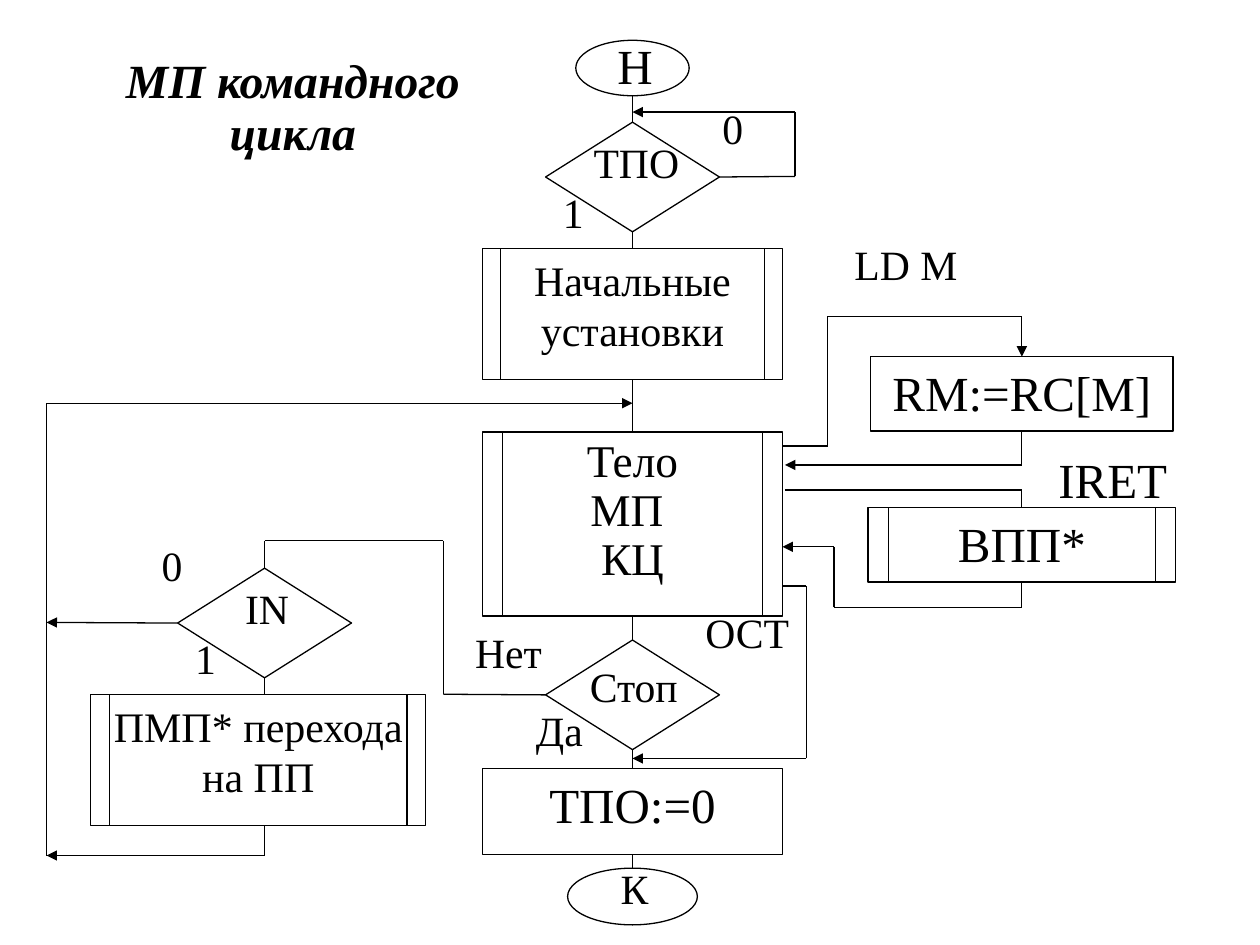
from itertools import pairwise

from lxml.etree import SubElement
from pptx import Presentation
from pptx.dml.color import RGBColor
from pptx.enum.shapes import MSO_CONNECTOR, MSO_SHAPE
from pptx.enum.text import MSO_ANCHOR, PP_ALIGN
from pptx.oxml.ns import qn
from pptx.util import Inches, Pt

INK = "000000"
FONT = "Times New Roman"
TOP, LEFT, BOTTOM, RIGHT = range(4)
SPINE, BRANCH, CALLS, RETURN = 5.02, 2.1, 8.11, 0.37


def color(value):
    """Turn a hex string into a colour."""
    return RGBColor.from_string(value)


def write(frame, words, size, spacing=None, align=PP_ALIGN.CENTER):
    """Fill a text frame with evenly formatted paragraphs."""
    frame.word_wrap = True
    frame.vertical_anchor = MSO_ANCHOR.TOP
    frame.text = words
    for paragraph in frame.paragraphs:
        paragraph.alignment = align
        paragraph.line_spacing = spacing
        font = paragraph.font
        font.name, font.size = FONT, Pt(size)
        font.color.rgb = color(INK)


def add_label(page, words, left, top, width, height=0.5, size=23.8, spacing=0.9):
    """Add a centred text box and return its frame."""
    box = page.shapes.add_textbox(Inches(left), Inches(top), Inches(width), Inches(height))
    write(box.text_frame, words, size, spacing)
    return box.text_frame


def add_block(page, kind, center, top, width, height, words="", size=28, spacing=None):
    """Add an outlined flowchart block centred on a vertical axis."""
    block = page.shapes.add_shape(kind, Inches(center - width / 2), Inches(top),
                                  Inches(width), Inches(height))
    block.shadow.inherit = False
    block.fill.background()
    block.line.color.rgb = color(INK)
    block.line.width = Pt(0.75)
    if words:
        write(block.text_frame, words, size, spacing)
    return block


def add_line(page, begin, end):
    """Add one straight connector between two points in inches."""
    line = page.shapes.add_connector(MSO_CONNECTOR.STRAIGHT, *map(Inches, begin + end))
    line.line.color.rgb = color(INK)
    line.line.width = Pt(0.75)
    SubElement(line._element.spPr, qn("a:effectLst"))
    return line


def add_route(page, *points, start=None, finish=None, arrow=False):
    """Chain connectors through points, joining the ends to block sides."""
    lines = [add_line(page, begin, end) for begin, end in pairwise(points)]
    if start:
        lines[0].begin_connect(*start)
    if finish:
        lines[-1].end_connect(*finish)
    if arrow:
        SubElement(lines[-1].line._get_or_add_ln(), qn("a:tailEnd"), type="triangle")


def add_subroutine(page, center, top, width, height, words, size, inset, spacing=None):
    """Add a rectangle with a vertical bar near each side."""
    block = add_block(page, MSO_SHAPE.RECTANGLE, center, top, width, height, words, size, spacing)
    for x in (center - width / 2 + inset, center + width / 2 - inset):
        add_line(page, (x, top), (x, top + height))
    return block


def add_main_flow(page):
    """Draw the central column and its loops."""
    add_block(page, MSO_SHAPE.OVAL, SPINE, 0.32, 0.9, 0.44)
    ready = add_block(page, MSO_SHAPE.DIAMOND, SPINE, 0.97, 1.38, 0.87)
    setup = add_subroutine(page, SPINE, 1.97, 2.38, 1.04, "Начальные установки", 24, 0.14)
    body = add_subroutine(page, SPINE, 3.43, 2.38, 1.46, "Тело\nМП \vКЦ", 25.9, 0.16, 0.9)
    stop = add_block(page, MSO_SHAPE.DIAMOND, SPINE, 5.08, 1.38, 0.87)
    reset = add_block(page, MSO_SHAPE.RECTANGLE, SPINE, 6.1, 2.38, 0.68, "ТПО:=0")
    finish = add_block(page, MSO_SHAPE.OVAL, SPINE, 6.89, 1.03, 0.45)

    add_route(page, (SPINE, 0.76), (SPINE, 0.97), finish=(ready, TOP))
    for upper, lower in pairwise((ready, setup, body, stop, reset, finish)):
        add_route(page, (SPINE, 1), (SPINE, 2), start=(upper, BOTTOM), finish=(lower, TOP))
    add_route(page, (5.71, 1.4), (6.31, 1.4), (6.31, 0.89), (SPINE, 0.89),
              start=(ready, RIGHT), arrow=True)
    add_route(page, (6.21, 4.65), (6.4, 4.65), (6.4, 6.02), (SPINE, 6.02), arrow=True)
    return stop


def add_call_blocks(page):
    """Draw the two blocks called from the body."""
    load = add_block(page, MSO_SHAPE.RECTANGLE, CALLS, 2.83, 2.4, 0.59, "RM:=RC[M]")
    interrupt = add_subroutine(page, CALLS, 4.03, 2.44, 0.59, "ВПП*", 28, 0.16)
    add_route(page, (6.21, 3.54), (6.57, 3.54), (6.57, 2.51), (CALLS, 2.51), (CALLS, 2.83),
              finish=(load, TOP), arrow=True)
    add_route(page, (CALLS, 3.42), (CALLS, 3.69), (6.23, 3.69), start=(load, BOTTOM), arrow=True)
    add_route(page, (6.23, 3.89), (CALLS, 3.89), (CALLS, 4.03), finish=(interrupt, TOP))
    add_route(page, (CALLS, 4.62), (CALLS, 4.82), (6.62, 4.82), (6.62, 4.34), (6.21, 4.34),
              start=(interrupt, BOTTOM), arrow=True)


def add_interrupt_check(page, stop):
    """Draw the left branch and its way back to the body."""
    check = add_block(page, MSO_SHAPE.DIAMOND, BRANCH, 4.51, 1.38, 0.87)
    add_subroutine(page, 2.05, 5.51, 2.66, 1.04, "ПМП* перехода на ПП", 24, 0.15)
    add_route(page, (4.33, 5.51), (3.52, 5.51), (3.52, 4.29), (BRANCH, 4.29), (BRANCH, 4.51),
              start=(stop, LEFT), finish=(check, TOP))
    add_route(page, (BRANCH, 5.38), (BRANCH, 5.51), start=(check, BOTTOM))
    add_route(page, (1.41, 4.94), (RETURN, 4.94), start=(check, LEFT), arrow=True)
    add_route(page, (BRANCH, 6.55), (BRANCH, 6.79), (RETURN, 6.79), arrow=True)
    add_route(page, (RETURN, 6.79), (RETURN, 3.2), (SPINE, 3.2), arrow=True)


def add_labels(page):
    """Write the title and the free-standing labels."""
    title = add_label(page, "МП командного цикла", 0.42, 0.35, 3.81, 1.03, 27.2)
    title.vertical_anchor = MSO_ANCHOR.MIDDLE
    title.paragraphs[0].font.bold = title.paragraphs[0].font.italic = True
    add_label(page, "Н", 4.22, 0.23, 1.64, 0.6, 28, None)
    for words, left, top, width in (
        ("ТПО", 4.38, 1.08, 1.34), ("0", 5.56, 0.81, 0.51), ("1", 4.37, 1.48, 0.36),
        ("LD M", 6.56, 1.89, 1.26), ("ОСТ", 5.3, 4.81, 1.26), ("Стоп", 4.36, 5.24, 1.34),
        ("Нет", 3.62, 4.97, 0.83), ("Да", 4.12, 5.59, 0.64), ("К", 4.35, 6.84, 1.37),
        ("IN", 1.45, 4.62, 1.34), ("0", 1.11, 4.28, 0.51), ("1", 1.45, 5.02, 0.36),
    ):
        add_label(page, words, left, top, width)
    back = add_label(page, "IRET", 8.4, 3.57, 0.97, 0.47, 28, None)
    back.paragraphs[0].alignment = PP_ALIGN.LEFT
    back.margin_left = back.margin_top = back.margin_right = back.margin_bottom = 0


def main():
    """Build the command cycle flowchart."""
    deck = Presentation()
    deck.slide_width, deck.slide_height = Inches(10), Inches(7.5)
    page = deck.slides.add_slide(deck.slide_layouts[6])
    stop = add_main_flow(page)
    add_call_blocks(page)
    add_interrupt_check(page, stop)
    add_labels(page)
    deck.save("out.pptx")


if __name__ == "__main__":
    main()
